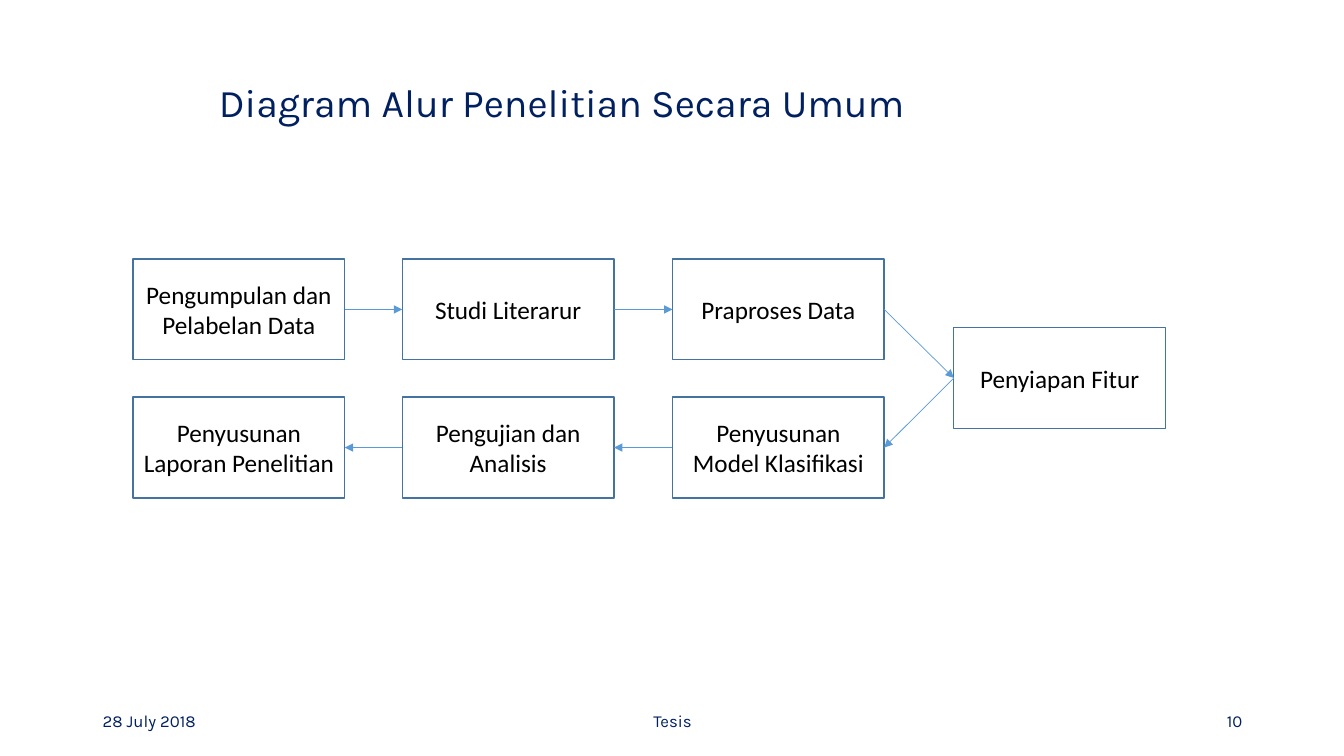
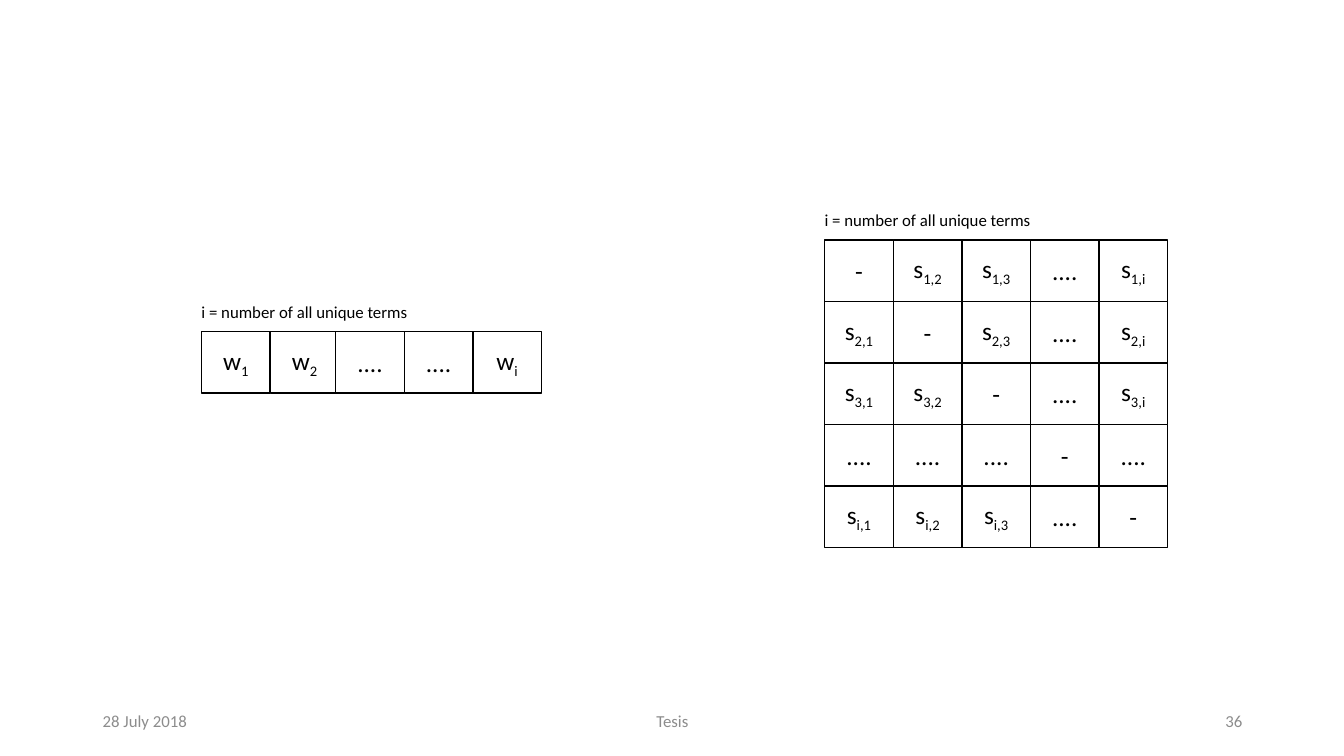
from dataclasses import dataclass
from itertools import pairwise

from lxml.etree import SubElement
from pptx import Presentation
from pptx.dml.color import RGBColor
from pptx.enum.shapes import MSO_CONNECTOR as Connector
from pptx.enum.shapes import MSO_SHAPE as Preset
from pptx.enum.text import MSO_ANCHOR as Anchor
from pptx.enum.text import MSO_AUTO_SIZE as AutoSize
from pptx.enum.text import PP_ALIGN as Align
from pptx.oxml.ns import qn
from pptx.shapes.autoshape import Shape
from pptx.slide import Slide
from pptx.text.text import TextFrame
from pptx.util import Inches, Pt


@dataclass(frozen=True)
class Theme:
    navy: str = "002060"
    gray: str = "8C8C8C"
    black: str = "000000"
    white: str = "FFFFFF"
    step_border: str = "43739E"
    arrow: str = "5B9BD5"
    heading_font: str = "Karla"
    body_font: str = "Calibri"
    title_size: int = 28
    body_size: int = 18
    small_size: int = 12
    border_width: float = 1
    arrow_width: float = 0.5


@dataclass(frozen=True)
class Box:
    left: float
    top: float
    width: float
    height: float

    def lengths(self) -> tuple[Inches, ...]:
        return tuple(map(Inches, (self.left, self.top, self.width, self.height)))


@dataclass(frozen=True)
class Step:
    text: str
    left: float
    top: float
    entry_site: int
    exit_site: int


THEME = Theme()
LEFT_SITE, RIGHT_SITE = 1, 3
TITLE_ONLY, BLANK = 5, 6

STEP_WIDTH, STEP_HEIGHT = 2.1, 1.0
COLUMNS = (1.32, 3.99, 6.67, 9.46)
UPPER_ROW, MIDDLE_ROW, LOWER_ROW = 2.57, 3.25, 3.94
STEPS = (
    Step("Pengumpulan dan Pelabelan Data", COLUMNS[0], UPPER_ROW, LEFT_SITE, RIGHT_SITE),
    Step("Studi Literarur", COLUMNS[1], UPPER_ROW, LEFT_SITE, RIGHT_SITE),
    Step("Praproses Data", COLUMNS[2], UPPER_ROW, LEFT_SITE, RIGHT_SITE),
    Step("Penyiapan Fitur", COLUMNS[3], MIDDLE_ROW, LEFT_SITE, LEFT_SITE),
    Step("Penyusunan Model Klasifikasi", COLUMNS[2], LOWER_ROW, RIGHT_SITE, LEFT_SITE),
    Step("Pengujian dan Analisis", COLUMNS[1], LOWER_ROW, RIGHT_SITE, LEFT_SITE),
    Step("Penyusunan Laporan Penelitian", COLUMNS[0], LOWER_ROW, RIGHT_SITE, LEFT_SITE),
)

CELL_WIDTH, CELL_HEIGHT = 0.68, 0.61
TERM_CAPTION = "i = number of all unique terms"
VECTOR_LEFTS = (2.0, 2.68, 3.33, 4.01, 4.69)
VECTOR_TOP = 3.29
VECTOR = ("w_1", "w_2", "....", "....", "w_i")
MATRIX_LEFT, MATRIX_TOP = 8.18, 2.38
MATRIX_INDICES = ("1", "2", "3", "....", "i")


def write(
    frame: TextFrame,
    text: str,
    *,
    font: str = THEME.body_font,
    size: float = THEME.body_size,
    color: str = THEME.black,
    align: Align = Align.CENTER,
    line_spacing: float = 1.0,
) -> None:
    frame.word_wrap = True
    frame.auto_size = AutoSize.NONE
    frame.vertical_anchor = Anchor.MIDDLE
    paragraph = frame.paragraphs[0]
    paragraph.alignment = align
    paragraph.line_spacing = line_spacing
    base, _, subscript = text.partition("_")
    for part, offset in ((base, None), (subscript, "-25000")):
        if not part:
            continue
        run = paragraph.add_run()
        run.text = part
        run.font.name = font
        run.font.size = Pt(size)
        run.font.color.rgb = RGBColor.from_string(color)
        if offset:
            run._r.get_or_add_rPr().set("baseline", offset)


def add_rectangle(
    slide: Slide, box: Box, text: str, border: str, size: float = THEME.body_size
) -> Shape:
    shape = slide.shapes.add_shape(Preset.RECTANGLE, *box.lengths())
    shape.shadow.inherit = False
    shape.fill.solid()
    shape.fill.fore_color.rgb = RGBColor.from_string(THEME.white)
    shape.line.color.rgb = RGBColor.from_string(border)
    shape.line.width = Pt(THEME.border_width)
    write(shape.text_frame, text, size=size)
    return shape


def add_arrow(slide: Slide, start: Shape, start_site: int, end: Shape, end_site: int) -> None:
    connector = slide.shapes.add_connector(Connector.STRAIGHT, 0, 0, 0, 0)
    connector.begin_connect(start, start_site)
    connector.end_connect(end, end_site)
    connector.line.color.rgb = RGBColor.from_string(THEME.arrow)
    connector.line.width = Pt(THEME.arrow_width)
    SubElement(connector.line._get_or_add_ln(), qn("a:tailEnd"), type="triangle")
    SubElement(connector._element.spPr, qn("a:effectLst"))


def add_title(slide: Slide, text: str) -> None:
    title = slide.shapes.title
    title.left, title.top, title.width, title.height = Box(2.07, 0.7, 12, 0.68).lengths()
    write(
        title.text_frame,
        text,
        font=THEME.heading_font,
        size=THEME.title_size,
        color=THEME.navy,
        align=Align.LEFT,
        line_spacing=0.9,
    )


def add_footer(slide: Slide, number: str, font: str, color: str) -> None:
    for text, left, width, align in (
        ("28 July 2018", 0.92, 3, Align.LEFT),
        ("Tesis", 4.42, 4.5, Align.CENTER),
        (number, 9.42, 3, Align.RIGHT),
    ):
        text_box = slide.shapes.add_textbox(*Box(left, 6.95, width, 0.4).lengths())
        write(
            text_box.text_frame,
            text,
            font=font,
            size=THEME.small_size,
            color=color,
            align=align,
        )


def add_cell(slide: Slide, left: float, top: float, text: str) -> None:
    add_rectangle(slide, Box(left, top, CELL_WIDTH, CELL_HEIGHT), text, THEME.black)


def add_caption(slide: Slide, grid_left: float, grid_top: float) -> None:
    box = Box(grid_left - 0.19, grid_top - 0.33, 2.42, 0.26)
    add_rectangle(slide, box, TERM_CAPTION, THEME.white, THEME.small_size)


def matrix_entry(row: str, column: str) -> str:
    if row == column:
        return "-"
    if "...." in (row, column):
        return "...."
    return f"s_{row},{column}"


def build_flow_slide(presentation: Presentation) -> None:
    slide = presentation.slides.add_slide(presentation.slide_layouts[TITLE_ONLY])
    add_title(slide, "Diagram Alur Penelitian Secara Umum")
    add_footer(slide, "10", THEME.heading_font, THEME.navy)
    placed = [
        (
            step,
            add_rectangle(
                slide,
                Box(step.left, step.top, STEP_WIDTH, STEP_HEIGHT),
                step.text,
                THEME.step_border,
            ),
        )
        for step in STEPS
    ]
    for (step, shape), (next_step, next_shape) in pairwise(placed):
        add_arrow(slide, shape, step.exit_site, next_shape, next_step.entry_site)


def build_terms_slide(presentation: Presentation) -> None:
    slide = presentation.slides.add_slide(presentation.slide_layouts[BLANK])
    add_footer(slide, "36", THEME.body_font, THEME.gray)
    for left, text in zip(VECTOR_LEFTS, VECTOR):
        add_cell(slide, left, VECTOR_TOP, text)
    add_caption(slide, VECTOR_LEFTS[0], VECTOR_TOP)
    for row_number, row in enumerate(MATRIX_INDICES):
        for column_number, column in enumerate(MATRIX_INDICES):
            add_cell(
                slide,
                MATRIX_LEFT + column_number * CELL_WIDTH,
                MATRIX_TOP + row_number * CELL_HEIGHT,
                matrix_entry(row, column),
            )
    add_caption(slide, MATRIX_LEFT, MATRIX_TOP)


def main() -> None:
    presentation = Presentation()
    presentation.slide_width = Inches(13.33)
    presentation.slide_height = Inches(7.5)
    build_flow_slide(presentation)
    build_terms_slide(presentation)
    presentation.save("out.pptx")


if __name__ == "__main__":
    main()
